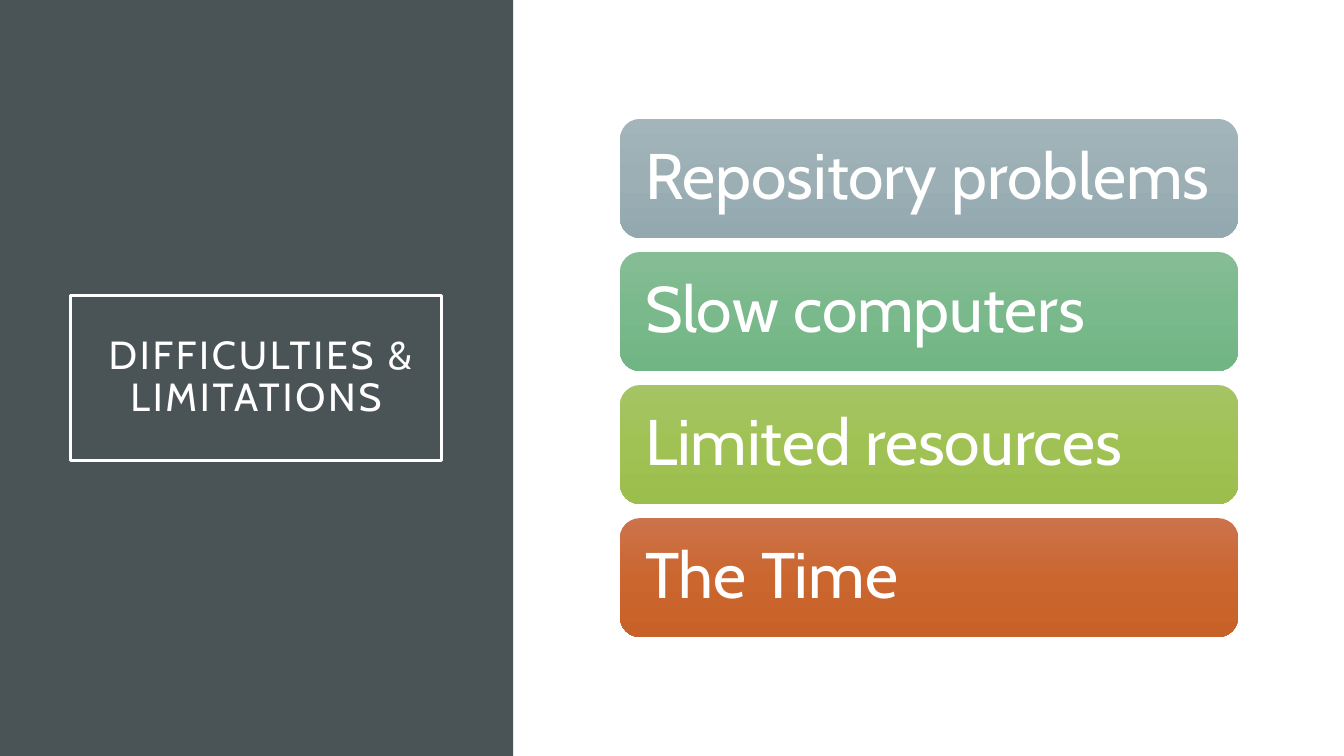
from copy import deepcopy

from pptx import Presentation
from pptx.dml.color import RGBColor
from pptx.enum import shapes, text
from pptx.util import Inches, Pt

FONT = "Cabin"
COLORS = {"panel": "4A5356", "white": "FFFFFF"}
DIFFICULTIES = [
    ("Repository problems", ("A3B5BB", "9BAFB5", "93A9AF")),
    ("Slow computers", ("86BD95", "7AB98B", "72B584")),
    ("Limited resources", ("A5C466", "A0C255", "9BBE4D")),
    ("The Time", ("CC734B", "CB662F", "C86128")),
]


def rgb(name):
    return RGBColor.from_string(COLORS[name])


def add_box(s, kind, left, top, width, height):
    sp = s.shapes.add_shape(kind, Inches(left), Inches(top), Inches(width), Inches(height))
    sp.shadow.inherit = False
    sp.line.fill.background()
    return sp


def write(sp, lines, size, align, inset, spacing=0):
    """Fill a shape with one paragraph of white text, broken into the given lines."""
    tf = sp.text_frame
    tf.word_wrap = True
    tf.vertical_anchor = text.MSO_ANCHOR.MIDDLE
    tf.margin_left = tf.margin_right = tf.margin_top = tf.margin_bottom = Inches(inset)
    p = tf.paragraphs[0]
    p.alignment = align
    p.line_spacing = 0.9
    for i, line in enumerate(lines):
        if i:
            p.add_line_break()
        r = p.add_run()
        r.text = line
        r.font.name = FONT
        r.font.size = Pt(size)
        r.font.color.rgb = rgb("white")
        if spacing:
            r.font._element.set("spc", str(spacing * 100))


def fill_gradient(sp, hexes):
    """Apply a top-to-bottom gradient with three evenly spaced stops."""
    fill = sp.fill
    fill.gradient()
    fill.gradient_angle = 270
    first = fill.gradient_stops[0]._gs
    first.addnext(deepcopy(first))
    for i, (stop, color) in enumerate(zip(fill.gradient_stops, hexes)):
        stop.position = i / 2
        stop.color.rgb = RGBColor.from_string(color)


def title_panel(s, left, top, width, height):
    panel = add_box(s, shapes.MSO_SHAPE.RECTANGLE, left, top, width, height)
    panel.fill.solid()
    panel.fill.fore_color.rgb = rgb("panel")

    title = add_box(s, shapes.MSO_SHAPE.RECTANGLE, left + 0.7, top + 2.93, 3.68, 1.64)
    title.fill.background()
    title.line.color.rgb = rgb("white")
    title.line.width = Pt(2.5)
    write(title, [" DIFFICULTIES &", "LIMITATIONS"], 28, text.PP_ALIGN.CENTER, 0.2, spacing=2)


def difficulty_list(s, left, top, width, height, gap=0.14):
    count = len(DIFFICULTIES)
    bar_height = (height - gap * (count - 1)) / count
    for i, (label, hexes) in enumerate(DIFFICULTIES):
        bar = add_box(s, shapes.MSO_SHAPE.ROUNDED_RECTANGLE,
                      left, top + i * (bar_height + gap), width, bar_height)
        fill_gradient(bar, hexes)
        write(bar, [label], 46, text.PP_ALIGN.LEFT, 0.19)


def main():
    prs = Presentation()
    prs.slide_width, prs.slide_height = Inches(13.33), Inches(7.5)
    s = prs.slides.add_slide(prs.slide_layouts[6])
    title_panel(s, 0, 0, 5.09, 7.5)
    difficulty_list(s, 6.15, 1.18, 6.13, 5.14)
    prs.save("out.pptx")


if __name__ == "__main__":
    main()
